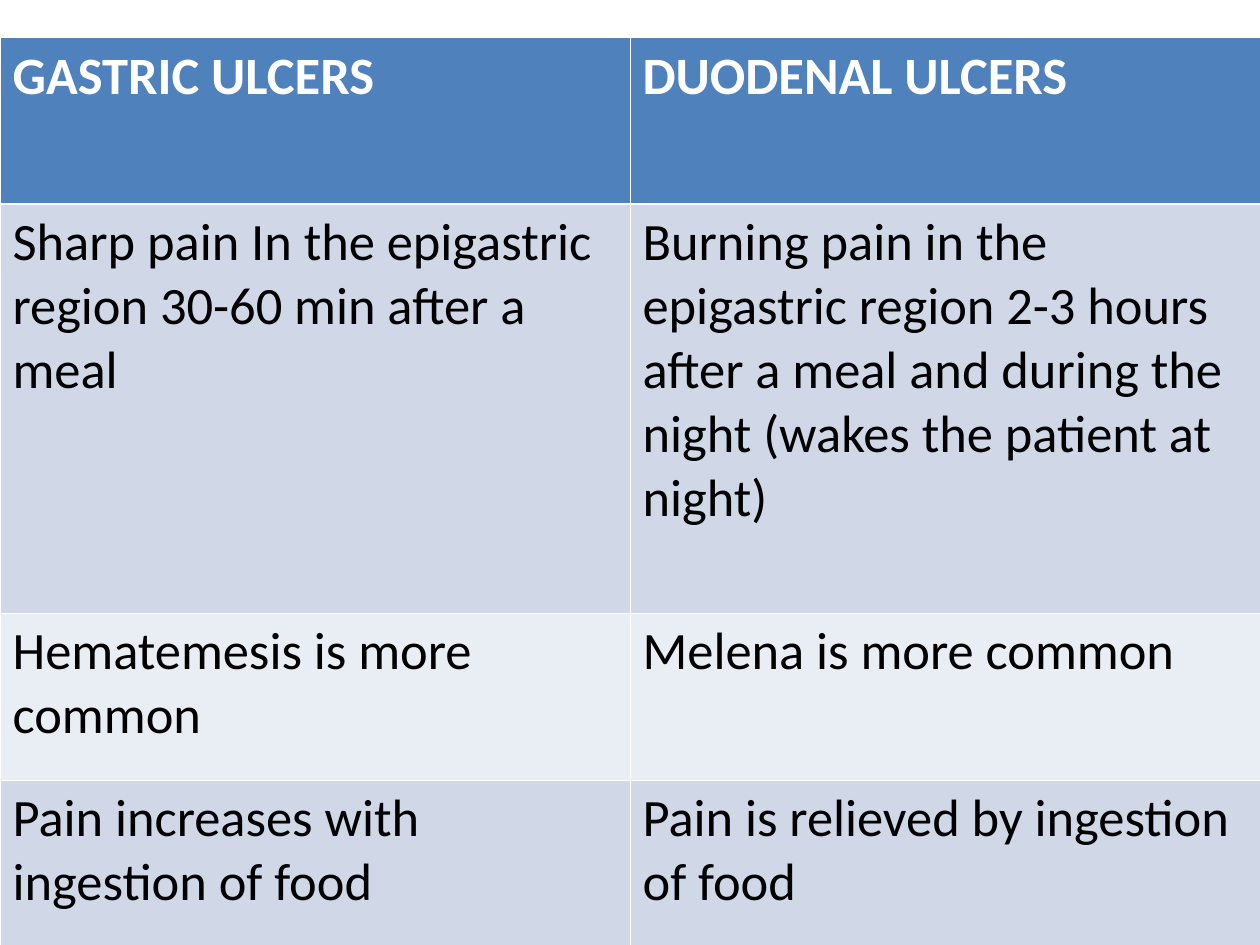
import pptx
import pptx.util
import pptx.dml.color
import pptx.oxml
import pptx.oxml.ns

Inches = pptx.util.Inches
Pt = pptx.util.Pt

COLORS = {
    "head": "4F81BD",
    "dark": "D0D8E8",
    "light": "E9EDF4",
    "white": "FFFFFF",
    "black": "000000",
}
ROWS = [
    ("GASTRIC ULCERS", "DUODENAL ULCERS"),
    ("Sharp pain In the epigastric region 30-60 min after a meal",
     "Burning pain in the epigastric region 2-3 hours after a meal "
     "and during the night (wakes the patient at night)"),
    ("Hematemesis is more common", "Melena is more common"),
    ("Pain increases with ingestion of food",
     "Pain is relieved by ingestion of food"),
]
HEIGHTS = [1.32, 3.25, 1.32, 1.32]
THIN, THICK = 0.45, 1.47


def color(name):
    return pptx.dml.color.RGBColor.from_string(COLORS[name])


def border(cell, widths):
    props = cell._tc.get_or_add_tcPr()
    for place, (side, width) in enumerate(widths.items()):
        props.insert(place, pptx.oxml.parse_xml(
            f'<a:ln{side} {pptx.oxml.ns.nsdecls("a")} w="{int(Pt(width))}">'
            f'<a:solidFill><a:srgbClr val="{COLORS["white"]}"/></a:solidFill>'
            f'</a:ln{side}>'))


def style(cell, text, row):
    head = row == 0
    cell.text = text
    cell.margin_left = cell.margin_right = Inches(0.1)
    cell.margin_top = cell.margin_bottom = Inches(0.05)
    cell.fill.solid()
    cell.fill.fore_color.rgb = color(
        "head" if head else "dark" if row % 2 else "light")
    font = cell.text_frame.paragraphs[0].font
    font.name = "Calibri"
    font.size = Pt(30)
    font.bold = head
    font.color.rgb = color("white" if head else "black")
    border(cell, {"L": THIN, "R": THIN,
                  "T": THICK if row == 1 else THIN,
                  "B": THICK if head else THIN})


def compare(slide, left, top, width, height):
    count = len(ROWS[0])
    table = slide.shapes.add_table(
        len(ROWS), count, Inches(left), Inches(top),
        Inches(width), Inches(height)).table
    for column in table.columns:
        column.width = Inches(width / count)
    for row, texts in enumerate(ROWS):
        table.rows[row].height = Inches(HEIGHTS[row])
        for col, text in enumerate(texts):
            style(table.cell(row, col), text, row)


def main():
    deck = pptx.Presentation()
    deck.slide_width = Inches(10)
    deck.slide_height = Inches(7.5)
    slide = deck.slides.add_slide(deck.slide_layouts[6])
    compare(slide, 0, 0.3, 10, sum(HEIGHTS))
    deck.save("out.pptx")


if __name__ == "__main__":
    main()
